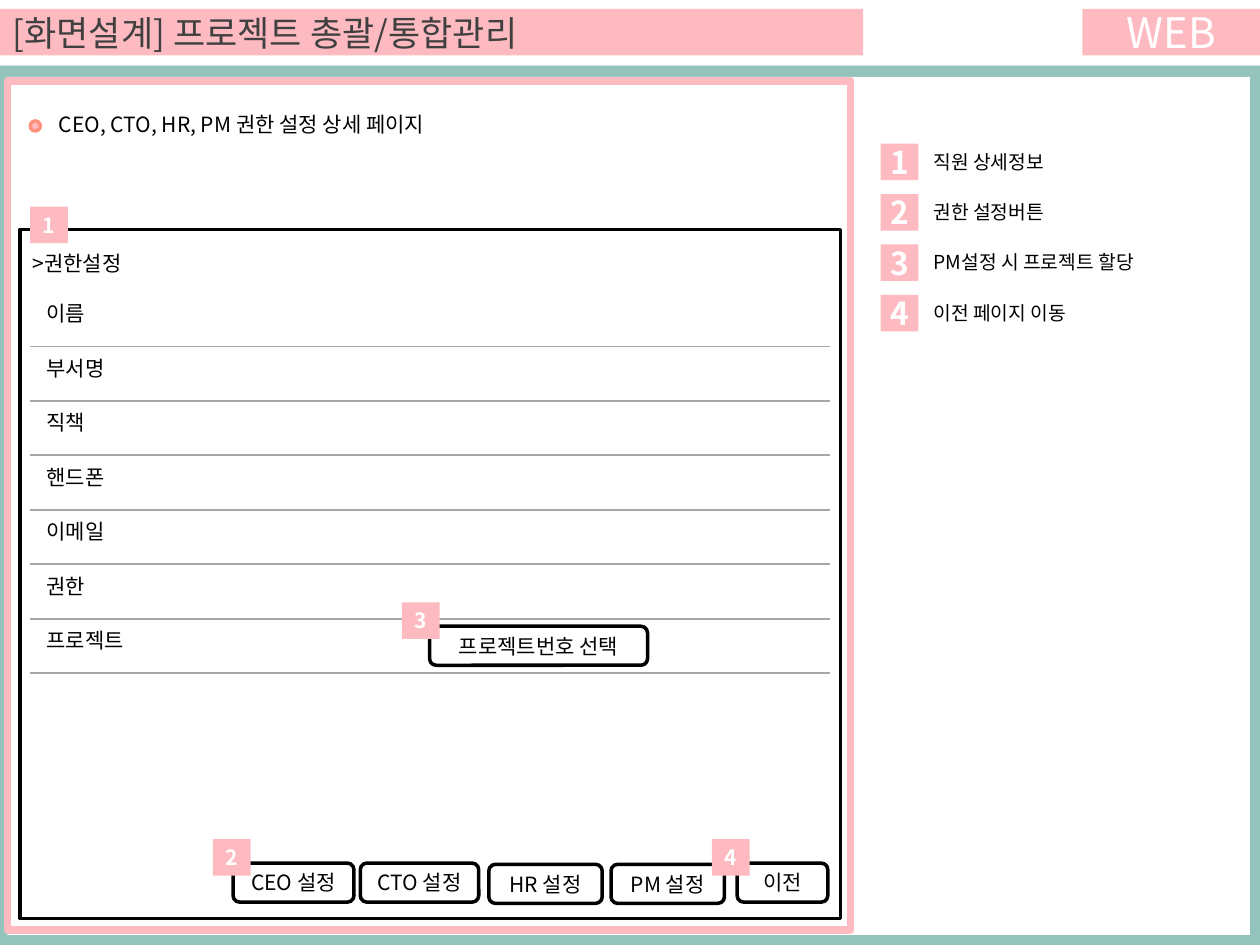
from dataclasses import dataclass

from pptx import Presentation
from pptx.dml.color import RGBColor
from pptx.enum import shapes, text
from pptx.oxml.ns import qn
from pptx.util import Inches, Pt

FONT = "Noto Sans CJK KR"
COLORS = {
    "teal": "94C3BB", "pink": "FDBBC1", "coral": "FE907E", "white": "FFFFFF",
    "black": "000000", "charcoal": "404040", "grey": "A6A6A6",
}
RECT = shapes.MSO_SHAPE.RECTANGLE
ROUNDED = shapes.MSO_SHAPE.ROUNDED_RECTANGLE
OVAL = shapes.MSO_SHAPE.OVAL
CENTER = text.PP_ALIGN.CENTER
LEFT = text.PP_ALIGN.LEFT


@dataclass(frozen=True)
class Box:
    left: float
    top: float
    width: float
    height: float

    def lengths(self) -> tuple:
        return tuple(map(Inches, (self.left, self.top, self.width, self.height)))


@dataclass(frozen=True)
class Button:
    label: str
    box: Box


@dataclass(frozen=True)
class Badge:
    number: str
    left: float
    top: float
    size: int = 12


FIELDS = ["이름", "부서명", "직책", "핸드폰", "이메일", "권한", "프로젝트"]
FIRST_RULE, FIELD_PITCH = 2.75, 0.432

BUTTONS = [
    Button("CEO 설정", Box(1.85, 6.85, 0.96, 0.31)),
    Button("CTO 설정", Box(2.86, 6.85, 0.94, 0.31)),
    Button("HR 설정", Box(3.88, 6.86, 0.9, 0.31)),
    Button("PM 설정", Box(4.85, 6.86, 0.9, 0.31)),
    Button("이전", Box(5.85, 6.85, 0.72, 0.31)),
    Button("프로젝트번호 선택", Box(3.41, 4.97, 1.73, 0.31)),
]
BADGES = [
    Badge("1", 0.24, 1.64),
    Badge("2", 1.69, 6.66),
    Badge("3", 3.19, 4.78),
    Badge("4", 5.65, 6.66),
]
LEGEND = ["직원 상세정보", "권한 설정버튼", "PM설정 시 프로젝트 할당", "이전 페이지 이동"]
LEGEND_TOP, LEGEND_PITCH = 1.14, 0.4


def color(name: str) -> RGBColor:
    return RGBColor.from_string(COLORS[name])


def write(shape, words: str, size: int, ink: str = "black", align=LEFT,
          bold: bool = False) -> None:
    """Put one run into the shape, with the font set for Latin and Korean."""
    paragraph = shape.text_frame.paragraphs[0]
    paragraph.alignment = align
    run = paragraph.add_run()
    run.text = words
    run.font.size = Pt(size)
    run.font.bold = bold
    run.font.color.rgb = color(ink)
    run.font.name = FONT
    korean = run.font._element.makeelement(qn("a:ea"), {"typeface": FONT})
    run.font._element.find(qn("a:latin")).addnext(korean)


def add_block(slide, box: Box, fill: str = "", line: str = "",
              weight: float = 2, kind=RECT):
    block = slide.shapes.add_shape(kind, *box.lengths())
    block.shadow.inherit = False
    if fill:
        block.fill.solid()
        block.fill.fore_color.rgb = color(fill)
    else:
        block.fill.background()
    if line:
        block.line.color.rgb = color(line)
        block.line.width = Pt(weight)
    else:
        block.line.fill.background()
    return block


def add_label(slide, box: Box, words: str, size: int = 12) -> None:
    label = slide.shapes.add_textbox(*box.lengths())
    label.text_frame.word_wrap = True
    write(label, words, size)


def add_button(slide, button: Button) -> None:
    block = add_block(slide, button.box, "white", "black", kind=ROUNDED)
    write(block, button.label, 12, align=CENTER)


def add_badge(slide, badge: Badge) -> None:
    block = add_block(slide, Box(badge.left, badge.top, 0.3, 0.29), "pink")
    frame = block.text_frame
    frame.margin_left = frame.margin_right = 0
    frame.margin_top = frame.margin_bottom = 0
    write(block, badge.number, badge.size, "white", CENTER, bold=True)


def add_rule(slide, left: float, right: float, top: float) -> None:
    rule = slide.shapes.add_connector(
        shapes.MSO_CONNECTOR.STRAIGHT,
        Inches(left), Inches(top), Inches(right), Inches(top))
    rule.line.color.rgb = color("grey")
    rule.line.width = Pt(1)
    properties = rule._element.spPr
    properties.append(properties.makeelement(qn("a:effectLst"), {}))


def add_header(slide) -> None:
    title = slide.shapes.title
    title.left, title.top, title.width, title.height = Box(0, 0.07, 6.85, 0.37).lengths()
    title.fill.solid()
    title.fill.fore_color.rgb = color("pink")
    title.text_frame.auto_size = text.MSO_AUTO_SIZE.NONE
    title.text_frame.vertical_anchor = text.MSO_ANCHOR.MIDDLE
    write(title, "[화면설계] 프로젝트 총괄/통합관리", 20, "charcoal")
    platform = add_block(slide, Box(8.59, 0.07, 1.41, 0.37), "pink")
    write(platform, "WEB", 24, "white", CENTER)


def add_form(slide) -> None:
    add_block(slide, Box(0.16, 1.82, 6.51, 5.47), "white", "black")
    add_label(slide, Box(0.16, 1.94, 1.04, 0.3), ">권한설정")
    for row, field in enumerate(FIELDS):
        rule_top = FIRST_RULE + row * FIELD_PITCH
        add_label(slide, Box(0.27, rule_top - 0.41, 1.09, 0.3), field)
        add_rule(slide, 0.24, 6.59, rule_top)
    for button in BUTTONS:
        add_button(slide, button)
    for badge in BADGES:
        add_badge(slide, badge)


def add_legend(slide) -> None:
    for row, meaning in enumerate(LEGEND):
        top = LEGEND_TOP + row * LEGEND_PITCH
        add_badge(slide, Badge(str(row + 1), 6.99, top, 18))
        add_label(slide, Box(7.31, top, 2.1, 0.29), meaning, 11)


def main() -> None:
    deck = Presentation()
    deck.slide_width, deck.slide_height = Inches(10), Inches(7.5)
    slide = deck.slides.add_slide(deck.slide_layouts[5])
    add_block(slide, Box(0, 0.52, 10, 6.98), "teal")
    add_block(slide, Box(0.06, 0.61, 9.86, 6.81), "white")
    add_block(slide, Box(0.06, 0.64, 6.69, 6.74), line="pink", weight=4.5)
    add_header(slide)
    add_block(slide, Box(0.24, 0.96, 0.08, 0.08), "pink", "coral", kind=OVAL)
    add_label(slide, Box(0.37, 0.84, 3.86, 0.3), "CEO, CTO, HR, PM 권한 설정 상세 페이지")
    add_form(slide)
    add_legend(slide)
    deck.save("out.pptx")


if __name__ == "__main__":
    main()
